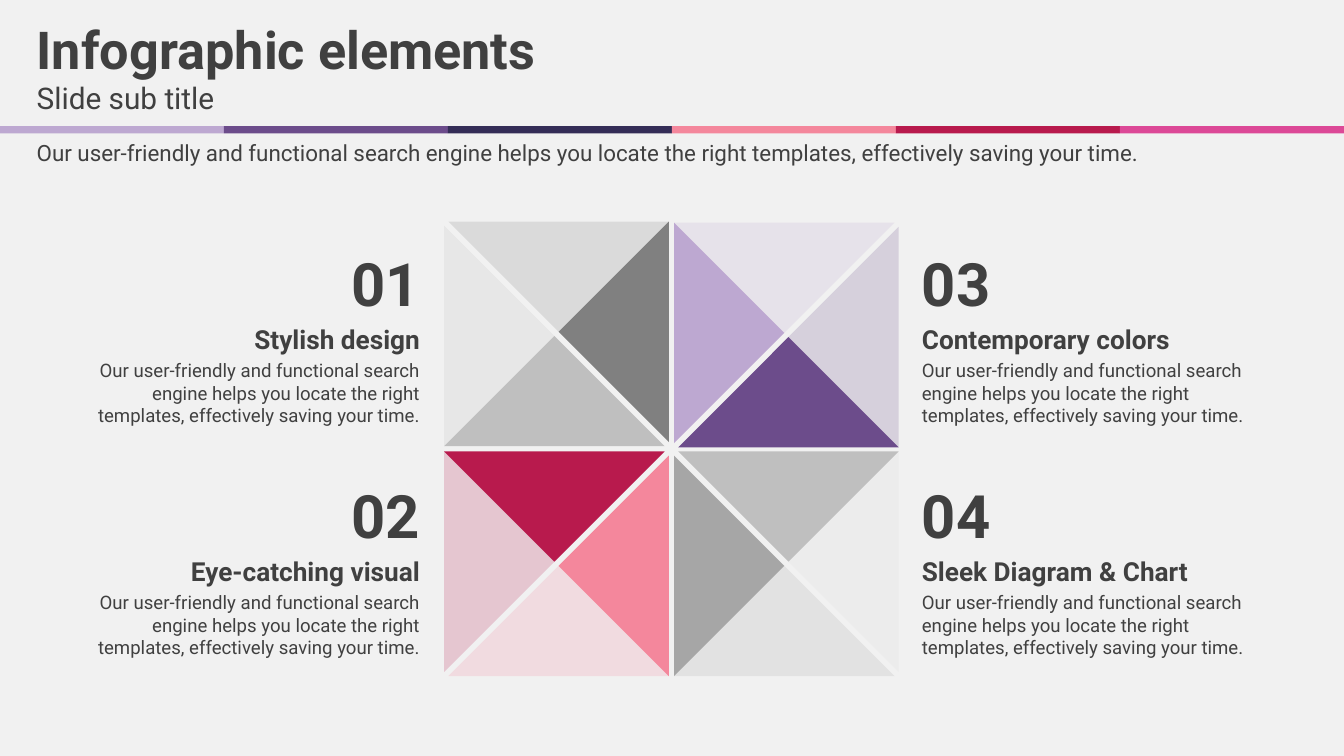
from lxml.etree import SubElement
from pptx import Presentation
from pptx.dml.color import RGBColor
from pptx.enum.shapes import MSO_SHAPE
from pptx.enum.text import MSO_ANCHOR, PP_ALIGN
from pptx.oxml.ns import qn
from pptx.util import Pt

SCALE = 9525
WIDTH, HEIGHT = 1280, 720
INK = "404040"
SIDE, GAP = 210, 4
SENTENCE = ("Our user-friendly and functional search engine helps you locate "
            "the right templates, effectively saving your time.")
STRIPES = ["BDA8D1", "6C4C8B", "342D57", "F4879C", "B81A4D", "DC4997"]
EDGES = {
    "top": ((0, 0), (SIDE, 0)),
    "right": ((SIDE, 0), (SIDE, SIDE)),
    "bottom": ((SIDE, SIDE), (0, SIDE)),
    "left": ((0, SIDE), (0, 0)),
}
QUADRANTS = [
    (642, 212, [{"top": ("BDA8D1", 20), "left": ("BDA8D1", 100)},
                {"right": ("6C4C8B", 20), "bottom": ("6C4C8B", 100)}]),
    (642, 430, [{"bottom": ("A6A6A6", 20), "left": ("A6A6A6", 100)},
                {"right": ("D9D9D9", 20), "top": ("BFBFBF", 100)}]),
    (423, 211, [{"left": ("BFBFBF", 20), "bottom": ("BFBFBF", 100)},
                {"top": ("808080", 20), "right": ("808080", 100)}]),
    (423, 430, [{"left": ("B81A4D", 20), "top": ("B81A4D", 100)},
                {"bottom": ("F4879C", 20), "right": ("F4879C", 100)}]),
]
CARDS = [
    (878, 235, "03", "Contemporary colors", PP_ALIGN.LEFT),
    (878, 456, "04", "Sleek Diagram & Chart", PP_ALIGN.LEFT),
    (58, 235, "01", "Stylish design", PP_ALIGN.RIGHT),
    (58, 456, "02", "Eye-catching visual", PP_ALIGN.RIGHT),
]


def px(length):
    """Turn pixels into EMU."""
    return round(length * SCALE)


def paint(fill, color, opacity=100):
    """Fill with a hex colour at an opacity in percent."""
    fill.solid()
    fill.fore_color.rgb = RGBColor.from_string(color)
    if opacity < 100:
        tone = fill._xPr.find(qn("a:solidFill"))[0]
        SubElement(tone, qn("a:alpha"), val=str(opacity * 1000))


def finish(shape, color, opacity=100):
    """Give a shape a plain fill with no line or shadow."""
    shape.shadow.inherit = False
    shape.line.fill.background()
    paint(shape.fill, color, opacity)


def add_text(page, left, top, width, height, text, size, bold=False,
             align=PP_ALIGN.LEFT, anchor=MSO_ANCHOR.TOP):
    """Place one line or paragraph of text without insets."""
    box = page.shapes.add_textbox(px(left), px(top), px(width), px(height))
    frame = box.text_frame
    frame.word_wrap = True
    frame.vertical_anchor = anchor
    frame.margin_left = frame.margin_right = 0
    frame.margin_top = frame.margin_bottom = 0
    para = frame.paragraphs[0]
    para.alignment = align
    span = para.add_run()
    span.text = text
    span.font.name = "Roboto"
    span.font.size = Pt(size)
    span.font.bold = bold
    paint(span.font.fill, INK)


def add_stripes(page, left, top, width, height):
    """Divide a band evenly into coloured stripes."""
    step = width / len(STRIPES)
    for index, color in enumerate(STRIPES):
        stripe = page.shapes.add_shape(
            MSO_SHAPE.RECTANGLE, px(left + index * step), px(top), px(step), px(height))
        finish(stripe, color)


def add_header(page, left, top, width):
    """Place the title, subtitle and introduction around the stripes."""
    add_text(page, left, top, width, 59, "Infographic elements", 37.3, bold=True)
    add_text(page, left, top + 60, width, 40, "Slide sub title", 21.3)
    add_stripes(page, 0, top + 104, WIDTH, 7)
    add_text(page, left, top + 116, width, 26, SENTENCE, 16, anchor=MSO_ANCHOR.MIDDLE)


def add_quadrant(page, left, top, halves):
    """Draw a square of four triangles, its halves split along a diagonal."""
    for half in halves:
        across = left + GAP * ("right" in half)
        down = top + GAP * ("bottom" in half)
        for edge, (color, opacity) in half.items():
            points = [*EDGES[edge], (SIDE // 2, SIDE // 2)]
            corners = [(across + x, down + y) for x, y in points]
            builder = page.shapes.build_freeform(*corners[0], scale=SCALE)
            builder.add_line_segments(corners[1:], close=True)
            finish(builder.convert_to_shape(), color, opacity)


def add_card(page, left, top, number, heading, align):
    """Stack a number, a heading and a description."""
    width = 342
    add_text(page, left, top + 107, width, 64, SENTENCE, 13.3,
             align=align, anchor=MSO_ANCHOR.MIDDLE)
    add_text(page, left, top + 73, width, 30, heading, 18.7, bold=True, align=align)
    number_width = 114
    shift = width - number_width if align == PP_ALIGN.RIGHT else 0
    add_text(page, left + shift, top, number_width, 69, number, 42.7,
             bold=True, align=align)


def main():
    """Build the slide and save the deck."""
    deck = Presentation()
    deck.slide_width, deck.slide_height = px(WIDTH), px(HEIGHT)
    page = deck.slides.add_slide(deck.slide_layouts[6])
    paint(page.background.fill, "F1F1F1")
    add_header(page, 35, 16, 1170)
    for quadrant in QUADRANTS:
        add_quadrant(page, *quadrant)
    for card in CARDS:
        add_card(page, *card)
    deck.save("out.pptx")


if __name__ == "__main__":
    main()
